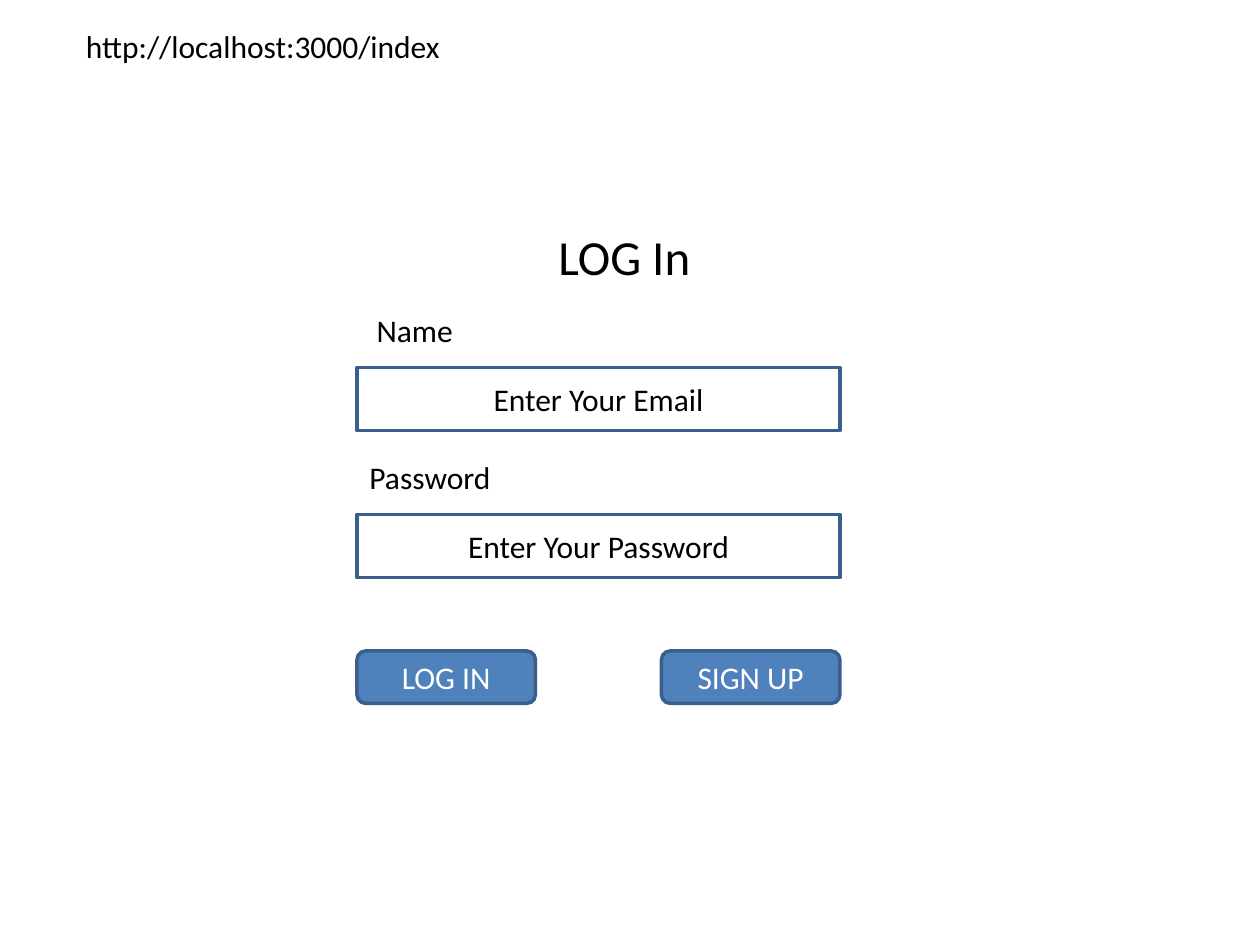
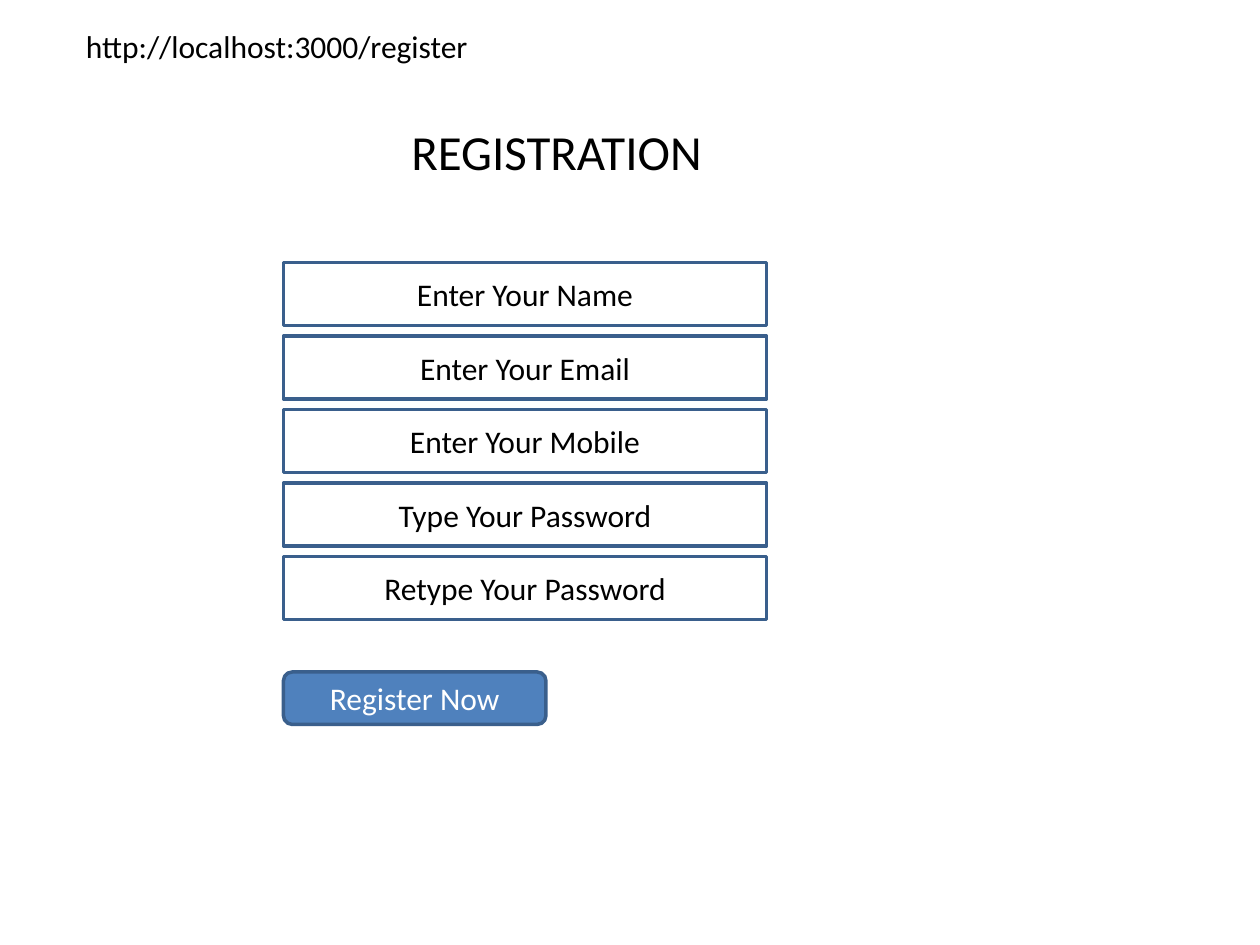
from pptx import Presentation
from pptx.dml.color import RGBColor
from pptx.enum.shapes import MSO_SHAPE
from pptx.enum.text import MSO_ANCHOR, MSO_AUTO_SIZE, PP_ALIGN
from pptx.util import Inches, Pt

# Content: places and widths are columns and rows of a 120 x 90 grid
PAGES = [
    {
        "address": ("http://localhost:3000/index", 36.6),
        "title": ("LOG In ", 52, 21, 17),
        "left": 34,
        "first_field": 35,
        "field_step": 14,
        "fields": ["Enter Your Email", "Enter Your Password"],
        "labels": [(" Name", 10.4), ("Password", 14)],
        "button_row": 62,
        "button_width": 17,
        "buttons": ["LOG IN", "SIGN UP"],
    },
    {
        "address": ("http://localhost:3000/register", 39.2),
        "title": ("REGISTRATION", 38, 11, 35),
        "left": 27,
        "first_field": 25,
        "field_step": 7,
        "fields": ["Enter Your Name", "Enter Your Email", "Enter Your Mobile",
                   "Type Your Password", "Retype Your Password"],
        "labels": [],
        "button_row": 64,
        "button_width": 25,
        "buttons": ["Register Now"],
    },
]

# Shared look
FONT, BODY_SIZE, TITLE_SIZE = "Calibri", 18, 28
BLACK, WHITE, BLUE, OUTLINE = "000000", "FFFFFF", "4F81BD", "3A5F8C"
FIELD_WIDTH, FIELD_HEIGHT, BUTTON_HEIGHT = 46, 6, 5
LABEL_RISE, TEXT_HEIGHT, TITLE_HEIGHT = 6, 4.8, 6.8
ADDRESS_COLUMN, ADDRESS_ROW = 7, 2

deck = Presentation()
deck.slide_width, deck.slide_height = Inches(10), Inches(7.5)
CELL = deck.slide_width / 120


def color(value):
    return RGBColor.from_string(value)


def on_grid(*cells):
    return [round(cell * CELL) for cell in cells]


def write(frame, words, size, ink):
    paragraph = frame.paragraphs[0]
    paragraph.text = words
    paragraph.font.name = FONT
    paragraph.font.size = Pt(size)
    paragraph.font.color.rgb = color(ink)
    return paragraph


def add_text(slide, words, place, size=BODY_SIZE, wrap=False):
    frame = slide.shapes.add_textbox(*on_grid(*place)).text_frame
    frame.word_wrap = wrap
    frame.auto_size = MSO_AUTO_SIZE.SHAPE_TO_FIT_TEXT
    write(frame, words, size, BLACK)


def add_control(slide, outline, words, place, fill, ink):
    control = slide.shapes.add_shape(outline, *on_grid(*place))
    control.shadow.inherit = False
    control.fill.solid()
    control.fill.fore_color.rgb = color(fill)
    control.line.color.rgb = color(OUTLINE)
    control.line.width = Pt(2)
    control.text_frame.vertical_anchor = MSO_ANCHOR.MIDDLE
    write(control.text_frame, words, BODY_SIZE, ink).alignment = PP_ALIGN.CENTER


for page in PAGES:
    slide = deck.slides.add_slide(deck.slide_layouts[6])
    left, width = page["left"], page["button_width"]

    # Address and title
    address, address_width = page["address"]
    add_text(slide, address,
             (ADDRESS_COLUMN, ADDRESS_ROW, address_width, TEXT_HEIGHT))
    title, column, row, title_width = page["title"]
    add_text(slide, title, (column, row, title_width, TITLE_HEIGHT),
             TITLE_SIZE, wrap=True)

    # Fields, with labels above them
    for index, prompt in enumerate(page["fields"]):
        row = page["first_field"] + index * page["field_step"]
        add_control(slide, MSO_SHAPE.RECTANGLE, prompt,
                    (left, row, FIELD_WIDTH, FIELD_HEIGHT), WHITE, BLACK)
        if page["labels"]:
            label, label_width = page["labels"][index]
            add_text(slide, label,
                     (left, row - LABEL_RISE, label_width, TEXT_HEIGHT))

    # Buttons, the second one flush with the fields' right edge
    for index, caption in enumerate(page["buttons"]):
        column = left + index * (FIELD_WIDTH - width)
        add_control(slide, MSO_SHAPE.ROUNDED_RECTANGLE, caption,
                    (column, page["button_row"], width, BUTTON_HEIGHT),
                    BLUE, WHITE)

deck.save("out.pptx")
